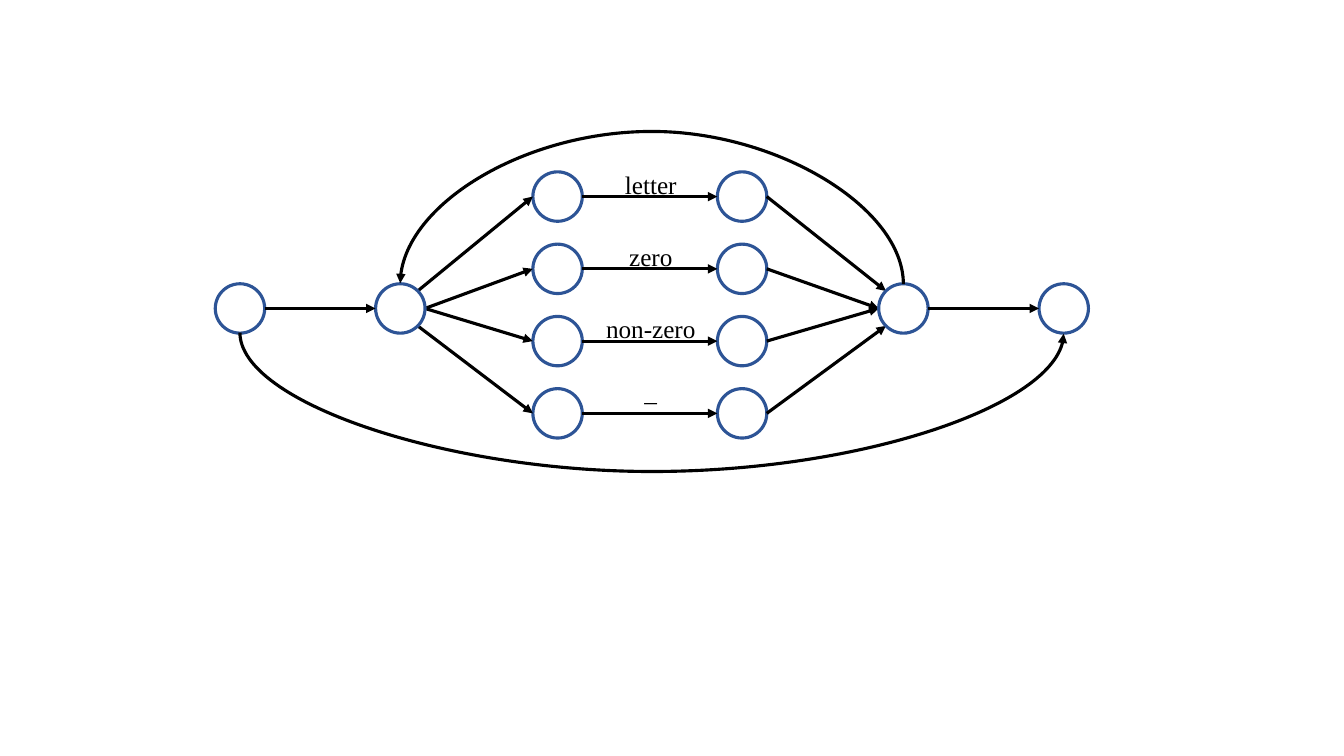
from lxml import etree
from pptx import Presentation
from pptx.dml.color import RGBColor
from pptx.enum.shapes import MSO_CONNECTOR, MSO_SHAPE
from pptx.enum.text import MSO_AUTO_SIZE, PP_ALIGN
from pptx.oxml.ns import qn
from pptx.util import Inches, Pt

STRAIGHT, CURVE = MSO_CONNECTOR.STRAIGHT, MSO_CONNECTOR.CURVE
BLACK = RGBColor(0x00, 0x00, 0x00)
WHITE = RGBColor(0xFF, 0xFF, 0xFF)
BLUE = RGBColor(0x2D, 0x54, 0x96)
STROKE = Pt(2.25)

# Centres of the states, in inches
START, FORK, LEFT, RIGHT, JOIN, END = 2.38, 3.97, 5.53, 7.36, 8.96, 10.55
MIDDLE = 3.06
FIRST_ROW, ROW_STEP = 1.95, 0.717
DIAMETER = 0.49
RADIUS = DIAMETER / 2
DIAGONAL = RADIUS * 0.5 ** 0.5
LABEL_WIDTH, LABEL_HEIGHT = 1.23, 0.4
CURVE_OFFSET = 0.01

deck = Presentation()
deck.slide_width, deck.slide_height = Inches(13.33), Inches(7.5)
page = deck.slides.add_slide(deck.slide_layouts[6])


def add_state(x, y):
    state = page.shapes.add_shape(
        MSO_SHAPE.OVAL, Inches(x - RADIUS), Inches(y - RADIUS),
        Inches(DIAMETER), Inches(DIAMETER))
    state.shadow.inherit = False
    state.fill.solid()
    state.fill.fore_color.rgb = WHITE
    state.line.color.rgb = BLUE
    state.line.width = STROKE


def add_arrow(x1, y1, x2, y2, kind=STRAIGHT):
    arrow = page.shapes.add_connector(
        kind, Inches(x1), Inches(y1), Inches(x2), Inches(y2))
    arrow.line.color.rgb = BLACK
    arrow.line.width = STROKE
    outline = arrow.line._get_or_add_ln()
    etree.SubElement(outline, qn("a:tailEnd"), type="triangle")
    etree.SubElement(arrow._element.spPr, qn("a:effectLst"))
    return arrow


# One branch per symbol: outer branches meet the hubs diagonally
labels = ["letter", "zero", "non-zero", "_"]
for row, label in enumerate(labels):
    y = FIRST_ROW + row * ROW_STEP
    lift = 0.42 if label == "_" else 0.32
    box = page.shapes.add_textbox(
        Inches((LEFT + RIGHT - LABEL_WIDTH) / 2 + 0.01), Inches(y - lift),
        Inches(LABEL_WIDTH), Inches(LABEL_HEIGHT))
    frame = box.text_frame
    frame.word_wrap = True
    frame.auto_size = MSO_AUTO_SIZE.SHAPE_TO_FIT_TEXT
    para = frame.paragraphs[0]
    para.text = label
    para.alignment = PP_ALIGN.CENTER
    para.font.name = "Times New Roman"
    para.font.size = Pt(18)
    para.font.color.rgb = BLACK

    add_state(LEFT, y)
    add_state(RIGHT, y)
    add_arrow(LEFT + RADIUS, y, RIGHT - RADIUS, y)

    reach, rise = RADIUS, 0
    if row in (0, len(labels) - 1):
        reach = DIAGONAL
        rise = -DIAGONAL if row == 0 else DIAGONAL
    add_arrow(FORK + reach, MIDDLE + rise, LEFT - RADIUS, y)
    add_arrow(RIGHT + RADIUS, y, JOIN - reach, MIDDLE + rise)

for x in (START, FORK, JOIN, END):
    add_state(x, MIDDLE)
for x1, x2 in ((START, FORK), (JOIN, END)):
    add_arrow(x1 + RADIUS, MIDDLE, x2 - RADIUS, MIDDLE)

# Skip arc below and repeat arc above: upright curves turned by 270 degrees
for x1, x2, y, depth in ((START, END, MIDDLE + RADIUS, 1.4),
                         (JOIN, FORK, MIDDLE - RADIUS, 1.54)):
    centre, half_span = (x1 + x2) / 2, (x2 - x1) / 2
    side = CURVE_OFFSET / 2 if x2 > x1 else -CURVE_OFFSET / 2
    arc = add_arrow(centre + side, y - half_span,
                    centre - side, y + half_span, CURVE)
    properties = arc._element.spPr
    properties.find(qn("a:xfrm")).set("rot", str(270 * 60000))
    guides = properties.find(qn("a:prstGeom")).find(qn("a:avLst"))
    bend = round(depth / CURVE_OFFSET * 100000)
    etree.SubElement(guides, qn("a:gd"), name="adj1", fmla=f"val {bend}")

deck.save("out.pptx")
